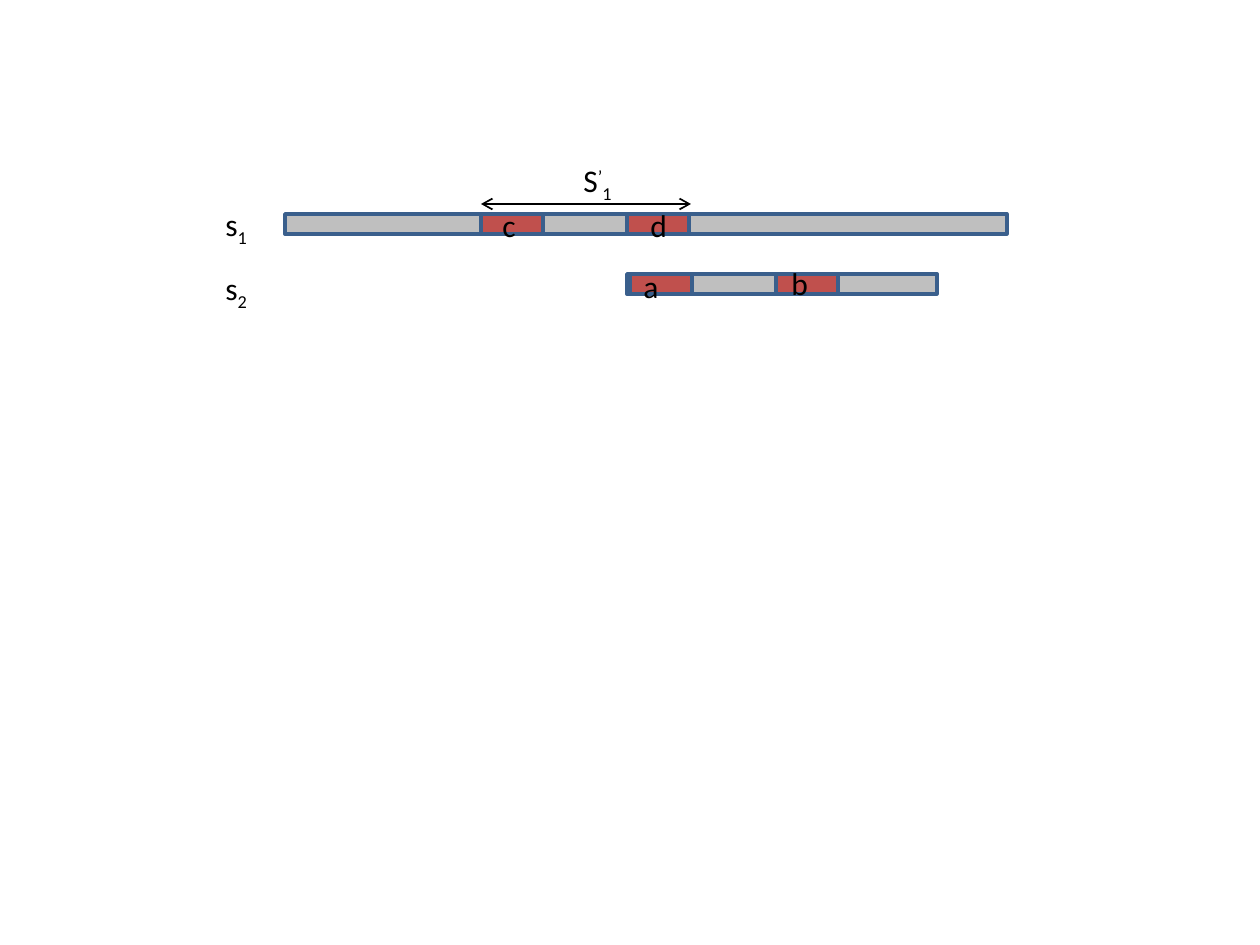
from pptx import Presentation
from pptx import util as u
from pptx.dml.color import RGBColor
from pptx.enum import shapes, text
from pptx.oxml.ns import qn
from lxml import etree

SCALE = 914400 // 126
COLORS = {"bar": "BFBFBF", "segment": "C0504D", "outline": "3A5F8C", "ink": "000000"}
BAR_H, SEGMENT_W, LABEL_H = 20, 62, 50


def px(n):
    """Turn pixels into EMU."""
    return u.Emu(n * SCALE)


def rgb(name):
    """Look up a named colour."""
    return RGBColor.from_string(COLORS[name])


def add_bar(s, x, y, w, fill):
    """Draw an outlined bar of the common height."""
    sp = s.shapes.add_shape(shapes.MSO_SHAPE.RECTANGLE, px(x), px(y), px(w), px(BAR_H))
    sp.shadow.inherit = False
    sp.fill.solid()
    sp.fill.fore_color.rgb = rgb(fill)
    sp.line.color.rgb = rgb("outline")
    sp.line.width = u.Pt(2)


def add_label(s, x, y, w, *parts):
    """Write a label from (text, baseline shift in percent) parts."""
    tf = s.shapes.add_textbox(px(x), px(y), px(w), px(LABEL_H)).text_frame
    tf.word_wrap = False
    tf.auto_size = text.MSO_AUTO_SIZE.SHAPE_TO_FIT_TEXT
    for wording, shift in parts:
        r = tf.paragraphs[0].add_run()
        r.text = wording
        r.font.name = "Calibri"
        r.font.size = u.Pt(18)
        r.font.color.rgb = rgb("ink")
        if shift:
            r.font._element.set("baseline", str(shift * 1000))


def add_sequence(s, x, y, w, segments):
    """Draw a sequence bar with segments of (letter, offset, label dx, dy, width)."""
    add_bar(s, x, y, w, "bar")
    for _, offset, *_ in segments:
        add_bar(s, x + offset, y, SEGMENT_W, "segment")
    for letter, offset, dx, dy, label_w in segments:
        add_label(s, x + offset + dx, y + dy, label_w, (letter, 0))


def add_span(s, x, y, w):
    """Draw the double-headed arrow and its label above it."""
    line = s.shapes.add_connector(shapes.MSO_CONNECTOR.STRAIGHT, px(x), px(y), px(x + w), px(y))
    line.line.color.rgb = rgb("ink")
    line.line.width = u.Pt(1)
    ln = line.line._get_or_add_ln()
    for end in ("a:headEnd", "a:tailEnd"):
        etree.SubElement(ln, qn(end), type="arrow")
    etree.SubElement(line._element.spPr, qn("a:effectLst"))
    add_label(s, x + 90, y - 49, 55, ("S", 0), ("’", 30), ("1", -25))


prs = Presentation()
prs.slide_width, prs.slide_height = px(1260), px(945)
s = prs.slides.add_slide(prs.slide_layouts[6])
add_sequence(s, 285, 214, 722, [("c", 196, 9, -14, 39), ("d", 342, 11, -14, 43)])
add_sequence(s, 627, 274, 310, [("a", 3, 1, -13, 40), ("b", 149, 3, -16, 43)])
for number, y in (("1", 199), ("2", 263)):
    add_label(s, 213, y, 49, ("s", 0), (number, -25))
add_span(s, 481, 204, 210)
prs.save("out.pptx")
